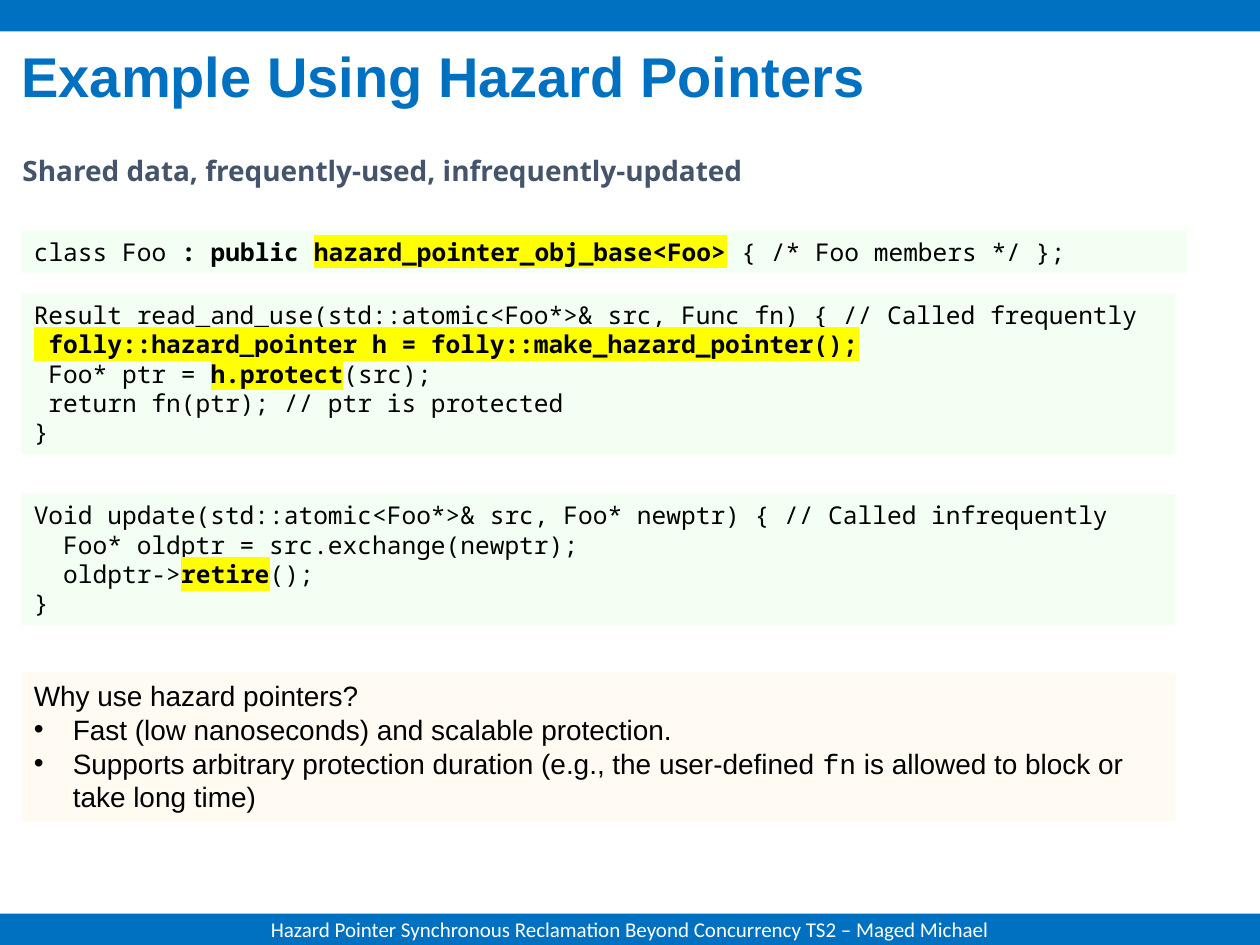
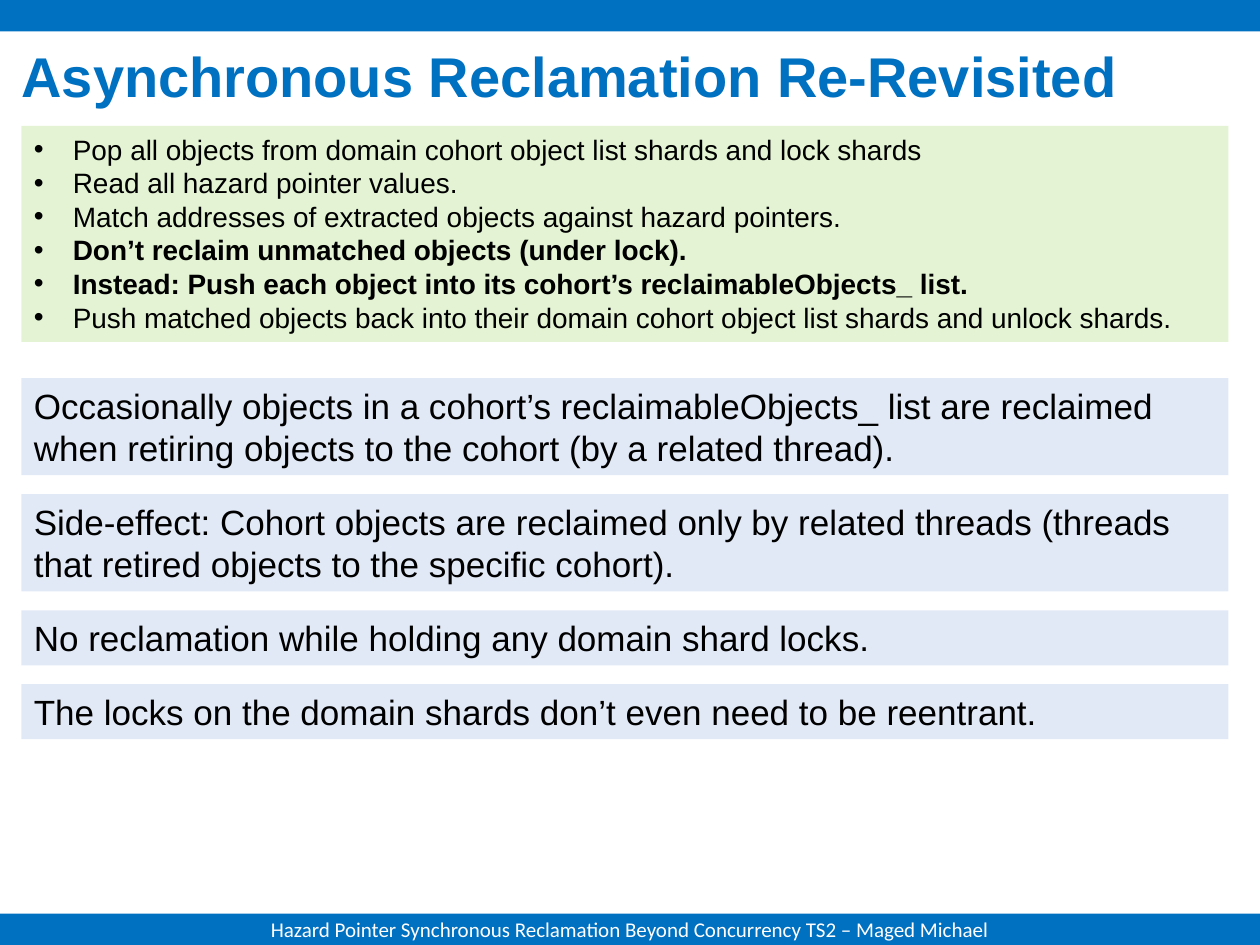
from lxml import etree
from pptx import Presentation
from pptx.dml.color import RGBColor
from pptx.enum.shapes import MSO_SHAPE
from pptx.enum.text import MSO_ANCHOR, MSO_AUTO_SIZE, PP_ALIGN
from pptx.oxml.ns import qn
from pptx.util import Inches, Pt

RECT = MSO_SHAPE.RECTANGLE
TOP, MIDDLE = MSO_ANCHOR.TOP, MSO_ANCHOR.MIDDLE
GROW, FIXED = MSO_AUTO_SIZE.SHAPE_TO_FIT_TEXT, MSO_AUTO_SIZE.NONE
LEFT, CENTER = PP_ALIGN.LEFT, PP_ALIGN.CENTER

BLUE = RGBColor(0x00, 0x70, 0xC0)
SLATE = RGBColor(0x44, 0x54, 0x6A)
BLACK = RGBColor(0x00, 0x00, 0x00)
WHITE = RGBColor(0xFF, 0xFF, 0xFF)
YELLOW = RGBColor(0xFF, 0xFF, 0x00)
MINT = RGBColor(0xCC, 0xFF, 0xCC)
CREAM = RGBColor(0xFF, 0xF2, 0xCC)
GREEN = RGBColor(0x92, 0xD0, 0x50)
SKY = RGBColor(0x8F, 0xAA, 0xDC)

SANS, MONO = "Arial", "Noto Sans Mono"

# Content: a line is a list of runs; a run is text or (text, mark)
BOLD, MARK, CODE, DOT = "bold", "mark", "code", "dot"

FOOTER = "Hazard Pointer Synchronous Reclamation Beyond Concurrency TS2 – Maged Michael"
USAGE = "Example Using Hazard Pointers"
THEME = "Shared data, frequently-used, infrequently-updated"
BASE = [
    ["class Foo ", (": public ", BOLD), ("hazard_pointer_obj_base<Foo>", MARK),
     " { /* Foo members */ };"],
]
READ = [
    ["Result read_and_use(std::atomic<Foo*>& src, Func fn) { // Called frequently"],
    [(" folly::hazard_pointer h = folly::make_hazard_pointer();", MARK)],
    [" Foo* ptr = ", ("h.protect", MARK), "(src);"],
    [" return fn(ptr); // ptr is protected"],
    ["}"],
]
UPDATE = [
    ["Void update(std::atomic<Foo*>& src, Foo* newptr) { // Called infrequently"],
    ["  Foo* oldptr = src.exchange(newptr);"],
    ["  oldptr->", ("retire", MARK), "();"],
    ["}"],
]
WHY = [
    ["Why use hazard pointers?"],
    [DOT, "Fast (low nanoseconds) and scalable protection."],
    [DOT, "Supports arbitrary protection duration (e.g., the user-defined ",
     ("fn", CODE), " is allowed to block or take long time)"],
]

RECLAIM = "Asynchronous Reclamation Re-Revisited"
STEPS = [
    [DOT, "Pop all objects from domain cohort object list shards and lock shards"],
    [DOT, "Read all hazard pointer values."],
    [DOT, "Match addresses of extracted objects against hazard pointers."],
    [DOT, ("Don’t reclaim unmatched objects (under lock).", BOLD)],
    [DOT, ("Instead: Push each object into its cohort’s reclaimableObjects_ list.", BOLD)],
    [DOT, "Push matched objects back into their domain cohort object list shards "
          "and unlock shards."],
]
NOTES = [  # rows of text, wording
    (2, "Occasionally objects in a cohort’s reclaimableObjects_ list are reclaimed "
        "when retiring objects to the cohort (by a related thread)."),
    (2, "Side-effect: Cohort objects are reclaimed only by related threads (threads "
        "that retired objects to the specific cohort)."),
    (1, "No reclamation while holding any domain shard locks."),
    (1, "The locks on the domain shards don’t even need to be reentrant."),
]

# Grid, in inches
WIDE, HIGH, BAND = 10, 7.5, 0.25
EDGE, NARROW, FULL = 0.17, 9.16, 9.58
GAP = 0.15


def tag(parent, name, **attrs):
    return etree.SubElement(parent, qn(name), **attrs)


def write(shape, lines, size=16, font=SANS, color=BLACK, bold=False,
          align=LEFT, anchor=TOP, fit=FIXED, pitch=None):
    """Fill a shape with lines of marked runs in one format."""
    frame = shape.text_frame
    frame.word_wrap = True
    frame.auto_size = fit
    frame.vertical_anchor = anchor
    for i, line in enumerate(lines):
        para = frame.add_paragraph() if i else frame.paragraphs[0]
        para.alignment = align
        if pitch:
            para.line_spacing = pitch
        if line[0] == DOT:
            line = line[1:]
            props = para._p.get_or_add_pPr()
            props.set("marL", str(Inches(0.31)))
            props.set("indent", str(-Inches(0.31)))
            tag(props, "a:buFont", typeface=SANS)
            tag(props, "a:buChar", char="•")
        for part in line:
            words, mark = (part, None) if isinstance(part, str) else part
            run = para.add_run()
            run.text = words
            run.font.size = Pt(size)
            run.font.bold = bold or mark in (BOLD, MARK)
            run.font.color.rgb = color
            if mark == MARK:
                glow = tag(run._r.get_or_add_rPr(), "a:highlight")
                tag(glow, "a:srgbClr", val=str(YELLOW))
            run.font.name = "Courier New" if mark == CODE else font


def place(left, top, wide, high):
    return [Inches(n) for n in (left, top, wide, high)]


def block(slide, box, color, alpha=None):
    shape = slide.shapes.add_shape(RECT, *place(*box))
    shape.shadow.inherit = False
    shape.fill.solid()
    shape.fill.fore_color.rgb = color
    shape.line.fill.background()
    if alpha:
        hue = shape.fill._xPr.find(".//" + qn("a:srgbClr"))
        tag(hue, "a:alpha", val=str(alpha * 1000))
    return shape


def panel(slide, top, lines, color, wide=FULL, rows=None, size=16, font=SANS):
    """Add a pale box as tall as its rows; return its bottom edge."""
    high = 0.1 + (rows or len(lines)) * 1.21 * size / 72
    shape = block(slide, (EDGE, top, wide, high), color, alpha=25)
    write(shape, lines, size=size, font=font, fit=GROW)
    return top + high


def page(deck, title):
    """Add a slide with its title, top band and footer band."""
    slide = deck.slides.add_slide(deck.slide_layouts[5])
    head = slide.shapes.title
    head.left, head.top, head.width, head.height = place(0.07, 0.37, 9.85, 0.55)
    write(head, [[title]], size=32, color=BLUE, bold=True, anchor=MIDDLE, pitch=0.8)
    block(slide, (0, 0, WIDE, BAND), BLUE)
    foot = block(slide, (0, HIGH - BAND, WIDE, BAND), BLUE)
    write(foot, [[FOOTER]], size=12, font="Calibri", color=WHITE,
          align=CENTER, anchor=MIDDLE)
    return slide


def main():
    deck = Presentation()
    deck.slide_width, deck.slide_height = Inches(WIDE), Inches(HIGH)

    # Code example
    slide = page(deck, USAGE)
    theme = slide.shapes.add_textbox(*place(0.08, 1.17, FULL, 0.33))
    write(theme, [[THEME]], font="Open Sans", color=SLATE, bold=True)
    for top, wide, code in ((1.83, 9.25, BASE), (2.33, NARROW, READ),
                            (3.92, NARROW, UPDATE)):
        panel(slide, top, code, MINT, wide=wide, size=14, font=MONO)
    panel(slide, 5.34, WHY, CREAM, wide=NARROW, rows=4)

    # Reclamation steps and their effects
    slide = page(deck, RECLAIM)
    panel(slide, 1, STEPS, GREEN)
    top = 3
    for rows, words in NOTES:
        top = panel(slide, top, [[words]], SKY, rows=rows, size=20) + GAP

    deck.save("out.pptx")


if __name__ == "__main__":
    main()
